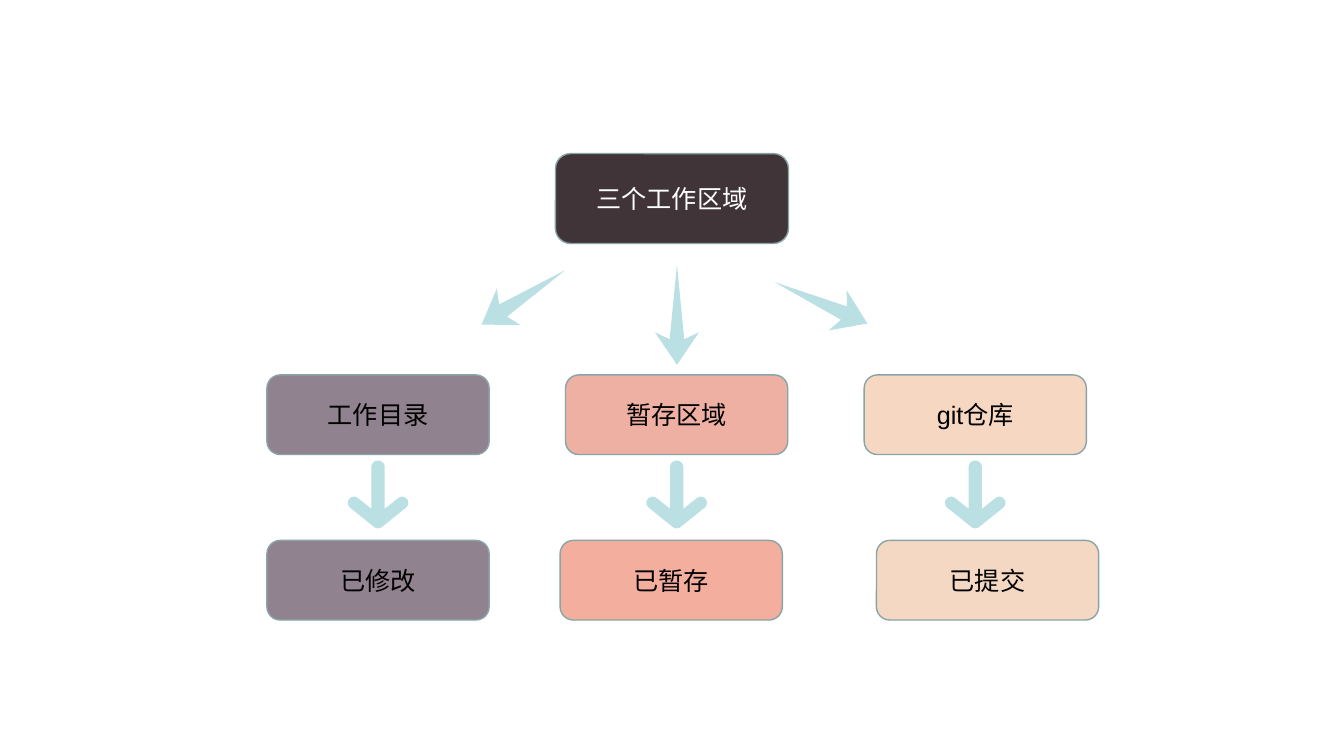
from math import cos, hypot, radians, sin

from pptx import Presentation
from pptx.dml.color import RGBColor
from pptx.enum.shapes import MSO_SHAPE
from pptx.enum.text import MSO_ANCHOR, PP_ALIGN
from pptx.util import Pt

DARK = RGBColor(0x41, 0x34, 0x38)
MAUVE = RGBColor(0x90, 0x82, 0x8F)
PINK = RGBColor(0xEE, 0xB0, 0xA2)
SALMON = RGBColor(0xF3, 0xAE, 0x9E)
PEACH = RGBColor(0xF6, 0xD7, 0xC2)
SAND = RGBColor(0xF5, 0xD8, 0xC3)
AQUA = RGBColor(0xBB, 0xE0, 0xE3)
BORDER = RGBColor(0x89, 0xA4, 0xA7)
WHITE = RGBColor(0xFF, 0xFF, 0xFF)
BLACK = RGBColor(0x00, 0x00, 0x00)

BOX_WIDTH, BOX_HEIGHT = 158.8, 56.9
AREA_TOP, STATE_TOP, STEP_TOP = 267.8, 386, 329
FIRST_LEFT, COLUMN_PITCH = 190.8, 213.4

COLUMNS = [
    ("工作目录", MAUVE, "已修改", MAUVE, 190.8, (403.9, 193), (344.2, 231.8)),
    ("暂存区域", PINK, "已暂存", SALMON, 400.3, (483.8, 189), (483.8, 260.6)),
    ("git仓库", PEACH, "已提交", SAND, 626.4, (553.7, 201.6), (619.9, 231.1)),
]


def add_box(slide, text, left, top, width, height, fill, text_color=BLACK):
    box = slide.shapes.add_shape(
        MSO_SHAPE.ROUNDED_RECTANGLE, Pt(left), Pt(top), Pt(width), Pt(height))
    box.shadow.inherit = False
    box.fill.solid()
    box.fill.fore_color.rgb = fill
    box.line.color.rgb = BORDER
    box.line.width = Pt(1)
    box.text_frame.vertical_anchor = MSO_ANCHOR.MIDDLE
    label = box.text_frame.paragraphs[0]
    label.text = text
    label.alignment = PP_ALIGN.CENTER
    label.font.name = "Arial"
    label.font.size = Pt(18)
    label.font.color.rgb = text_color


def add_outline(slide, points):
    corners = [(Pt(x), Pt(y)) for x, y in points]
    builder = slide.shapes.build_freeform(*corners[0])
    builder.add_line_segments(corners[1:], close=True)
    arrow = builder.convert_to_shape()
    arrow.shadow.inherit = False
    arrow.fill.solid()
    arrow.fill.fore_color.rgb = AQUA
    arrow.line.fill.background()


def add_tapered_arrow(slide, tail, tip):
    length = hypot(tip[0] - tail[0], tip[1] - tail[1])
    along_x = (tip[0] - tail[0]) / length
    along_y = (tip[1] - tail[1]) / length
    profile = [(0, 0), (23.2, 15.7), (18.3, 5.2), (length, 0),
               (18.3, -5.2), (23.2, -15.7)]
    add_outline(slide, [
        (tip[0] - back * along_x - side * along_y,
         tip[1] - back * along_y + side * along_x)
        for back, side in profile])


def arc(x, y, radius, start, end, steps=16):
    angles = [radians(start + (end - start) * i / steps)
              for i in range(steps + 1)]
    return [(x + radius * cos(a), y + radius * sin(a)) for a in angles]


def add_rounded_arrow(slide, center, top):
    profile = (arc(0, 4.75, 4.75, 180, 360) + [(4.75, 34.5)]
               + arc(17.2, 30.2, 4.4, 229, 409)
               + arc(0, 43.8, 4.6, 49, 131)
               + arc(-17.2, 30.2, 4.4, 131, 311) + [(-4.75, 34.5)])
    add_outline(slide, [(center + x, top + y) for x, y in profile])


def main():
    deck = Presentation()
    deck.slide_width, deck.slide_height = Pt(960.5), Pt(540)
    slide = deck.slides.add_slide(deck.slide_layouts[6])
    add_box(slide, "三个工作区域", 397, 109.7, 166.5, 64.2, DARK, WHITE)
    for index, column in enumerate(COLUMNS):
        area, area_fill, state, state_fill, state_left, tail, tip = column
        left = FIRST_LEFT + index * COLUMN_PITCH
        add_tapered_arrow(slide, tail, tip)
        add_box(slide, area, left, AREA_TOP, BOX_WIDTH, BOX_HEIGHT, area_fill)
        add_rounded_arrow(slide, left + BOX_WIDTH / 2, STEP_TOP)
        add_box(slide, state, state_left, STATE_TOP,
                BOX_WIDTH, BOX_HEIGHT, state_fill)
    deck.save("out.pptx")


if __name__ == "__main__":
    main()
